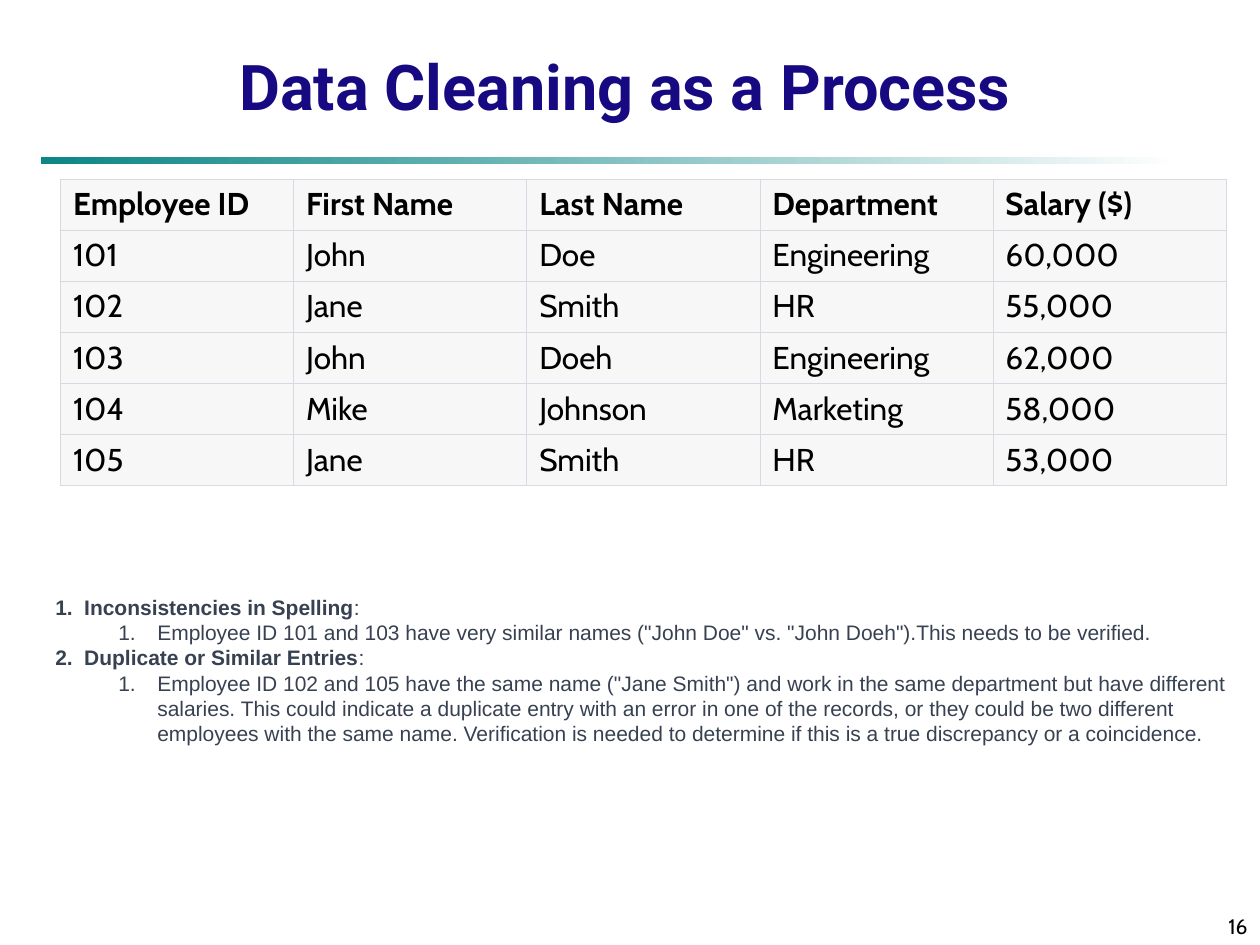
from lxml import etree
from pptx import Presentation
from pptx.dml.color import RGBColor
from pptx.enum.shapes import MSO_SHAPE
from pptx.enum.text import MSO_ANCHOR, MSO_AUTO_SIZE, PP_ALIGN
from pptx.oxml.ns import qn
from pptx.util import Inches, Pt

RECTANGLE = MSO_SHAPE.RECTANGLE
MIDDLE, BOTTOM = MSO_ANCHOR.MIDDLE, MSO_ANCHOR.BOTTOM
CENTER, RIGHT = PP_ALIGN.CENTER, PP_ALIGN.RIGHT
NO_FIT = MSO_AUTO_SIZE.NONE
TITLE_ONLY = 5

SLIDE_W, SLIDE_H = Inches(10), Inches(7.5)
UNIT = SLIDE_W / 10  # square grid: 10 columns by 7.5 rows

NAVY, TEAL, WHITE, BLACK = "170981", "008080", "FFFFFF", "000000"
CELL_GREY, BORDER_GREY, SLATE = "F7F7F8", "D9D9E3", "374151"

EMPLOYEES = [
    ("Employee ID", "First Name", "Last Name", "Department", "Salary ($)"),
    ("101", "John", "Doe", "Engineering", "60,000"),
    ("102", "Jane", "Smith", "HR", "55,000"),
    ("103", "John", "Doeh", "Engineering", "62,000"),
    ("104", "Mike", "Johnson", "Marketing", "58,000"),
    ("105", "Jane", "Smith", "HR", "53,000"),
]
ISSUES = [
    ("Inconsistencies in Spelling",
     'Employee ID 101 and 103 have very similar names ("John Doe" vs. "John Doeh").'
     "This needs to be verified."),
    ("Duplicate or Similar Entries",
     'Employee ID 102 and 105 have the same name ("Jane Smith") and work in the same '
     "department but have different salaries. This could indicate a duplicate entry with "
     "an error in one of the records, or they could be two different employees with the "
     "same name. Verification is needed to determine if this is a true discrepancy or a "
     "coincidence."),
]


def color(hex_text):
    return RGBColor.from_string(hex_text)


def grid(*lengths):
    return [round(length * UNIT) for length in lengths]


def style(run, font, size, hex_text, bold=False):
    run.font.name, run.font.size, run.font.bold = font, Pt(size), bold
    run.font.color.rgb = color(hex_text)


def add_title(slide, box, text):
    title = slide.shapes.title
    title.left, title.top, title.width, title.height = grid(*box)
    frame = title.text_frame
    frame.text = text
    frame.auto_size, frame.vertical_anchor = NO_FIT, BOTTOM
    frame.margin_top = frame.margin_bottom = Inches(0.02)
    paragraph = frame.paragraphs[0]
    paragraph.alignment = CENTER
    style(paragraph.runs[0], "Roboto", 36, NAVY, bold=True)


def add_rule(slide, box):
    rule = slide.shapes.add_shape(RECTANGLE, *grid(*box))
    rule.shadow.inherit = False
    rule.line.fill.background()
    rule.fill.gradient()
    rule.fill.gradient_angle = 0
    for stop, position, hex_text in zip(rule.fill.gradient_stops, (0, 1), (TEAL, WHITE)):
        stop.position, stop.color.rgb = position, color(hex_text)
    teal = rule._element.spPr.find(".//" + qn("a:srgbClr"))
    etree.SubElement(teal, qn("a:alpha"), val="95000")


def add_borders(cell):
    properties = cell._tc.get_or_add_tcPr()
    for index, side in enumerate(("lnL", "lnR", "lnT", "lnB")):
        width = Pt(0.34 if index < 2 else 0.45)
        line = etree.Element(qn("a:" + side), w=str(width))
        fill = etree.SubElement(line, qn("a:solidFill"))
        etree.SubElement(fill, qn("a:srgbClr"), val=BORDER_GREY)
        properties.insert(index, line)


def add_employee_table(slide, box, records):
    table = slide.shapes.add_table(len(records), len(records[0]), *grid(*box)).table
    table.first_row = table.horz_banding = False
    for row, record in enumerate(records):
        is_header = row == 0
        for column, value in enumerate(record):
            cell = table.cell(row, column)
            cell.text = value
            cell.vertical_anchor = BOTTOM if is_header else MIDDLE
            cell.fill.solid()
            cell.fill.fore_color.rgb = color(CELL_GREY)
            add_borders(cell)
            style(cell.text_frame.paragraphs[0].runs[0], "Cabin", 18, BLACK, is_header)


def number_paragraph(paragraph, margin, hanging, start=1):
    properties = paragraph._p.get_or_add_pPr()
    properties.set("marL", str(Inches(margin)))
    properties.set("indent", str(-Inches(hanging)))
    bullet_color = etree.SubElement(properties, qn("a:buClr"))
    etree.SubElement(bullet_color, qn("a:srgbClr"), val=SLATE)
    etree.SubElement(properties, qn("a:buFont"), typeface="Arial")
    etree.SubElement(properties, qn("a:buAutoNum"), type="arabicPeriod", startAt=str(start))


def add_issue_list(slide, box, issues):
    frame = slide.shapes.add_textbox(*grid(*box)).text_frame
    frame.word_wrap = True
    for number, (heading, detail) in enumerate(issues, 1):
        topic = frame.paragraphs[0] if number == 1 else frame.add_paragraph()
        number_paragraph(topic, 0.23, 0.23, number)
        explanation = frame.add_paragraph()
        explanation.level = 1
        number_paragraph(explanation, 0.81, 0.31)
        for paragraph, text, bold in ((topic, heading, True), (topic, ":", False),
                                      (explanation, detail, False)):
            run = paragraph.add_run()
            run.text = text
            style(run, "Arial", 12, SLATE, bold)


def add_page_number(slide, box, number):
    frame = slide.shapes.add_textbox(*grid(*box)).text_frame
    frame.word_wrap = True
    frame.vertical_anchor = BOTTOM
    frame.text = number
    frame.paragraphs[0].alignment = RIGHT
    style(frame.paragraphs[0].runs[0], "Cabin", 12, BLACK)


def main():
    deck = Presentation()
    deck.slide_width, deck.slide_height = SLIDE_W, SLIDE_H
    slide = deck.slides.add_slide(deck.slide_layouts[TITLE_ONLY])

    # Heading
    add_rule(slide, (0.33, 1.25, 9, 0.05))
    add_title(slide, (0.17, 0.33, 9.58, 0.67), "Data Cleaning as a Process")

    # Records and the issues found in them
    add_employee_table(slide, (0.48, 1.42, 9.25, 2.4), EMPLOYEES)
    add_issue_list(slide, (0.34, 4.67, 9.52, 1.5), ISSUES)

    # Footer
    add_page_number(slide, (7.92, 7.08, 2.08, 0.42), "16")

    deck.save("out.pptx")


if __name__ == "__main__":
    main()
